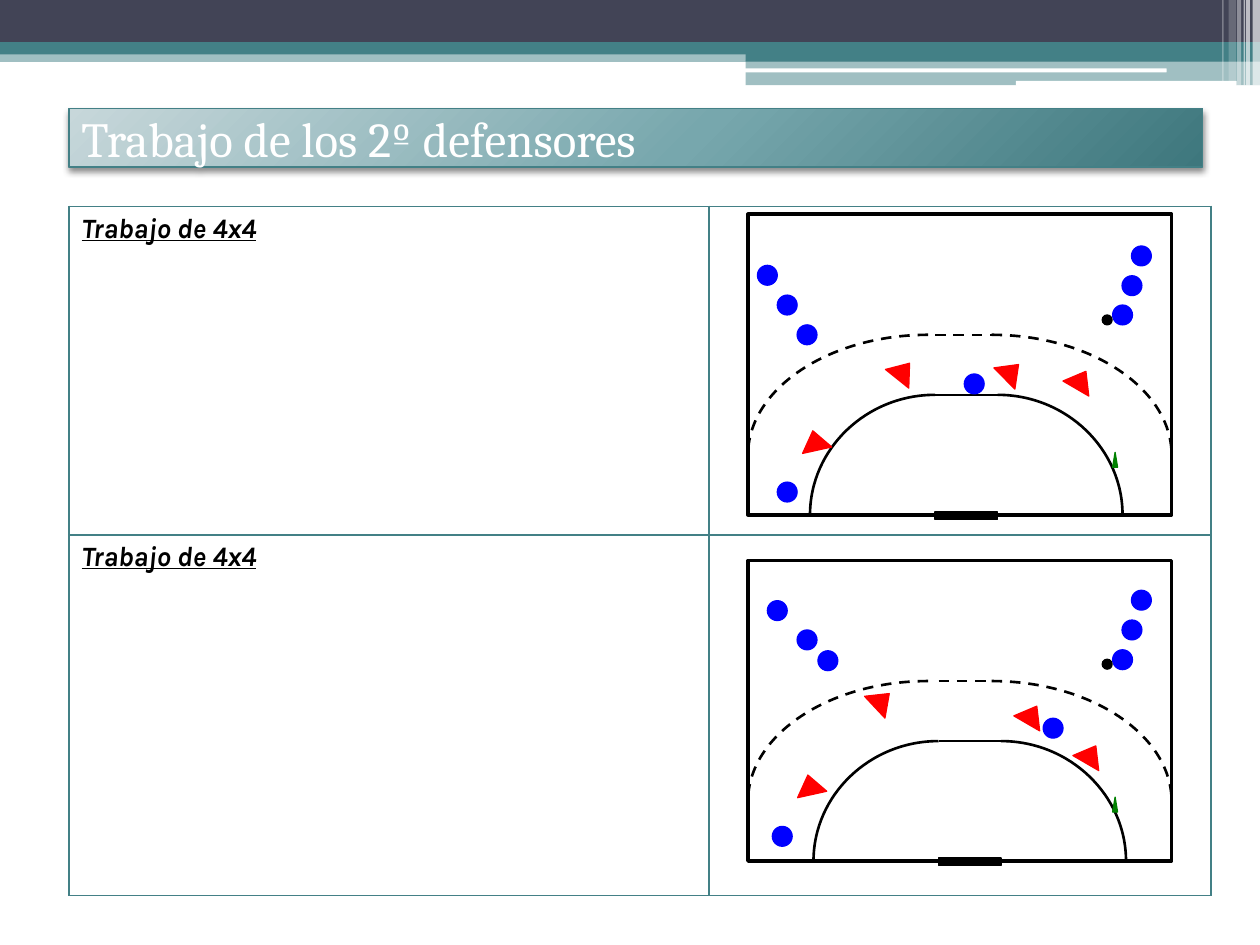
from pptx import Presentation
from pptx.dml.color import RGBColor
from pptx.enum.dml import MSO_LINE
from pptx.enum.shapes import MSO_CONNECTOR, MSO_SHAPE
from pptx.enum.text import MSO_ANCHOR, PP_ALIGN
from pptx.oxml import parse_xml
from pptx.oxml.ns import qn
from pptx.util import Cm, Pt

NS = 'xmlns:a="http://schemas.openxmlformats.org/drawingml/2006/main"'
PLAIN_TABLE = "{2D5ABB26-0587-4C30-8999-92F81FD0307C}"
COLORS = {
    "navy": "424456", "teal": "438086", "white": "FFFFFF", "black": "000000",
    "attack": "0000FF", "defence": "FF0000", "cone": "008000",
    "pale": "C7D7DA", "mid": "77A7AD", "deep": "3E777D",
}
TITLE_FONT = {"name": "Cambria", "size": Pt(28)}
CELL_FONT = {"name": "Karla", "size": Pt(16), "bold": True, "italic": True, "underline": True}

BANDS = [
    (MSO_SHAPE.RECTANGLE, (0, 1.02, 25.4, 0.23), "teal", 50),
    (MSO_SHAPE.RECTANGLE, (0, 0, 25.4, 0.86), "navy", 100),
    (MSO_SHAPE.RECTANGLE, (0, 0.85, 25.4, 0.25), "teal", 100),
    (MSO_SHAPE.RECTANGLE, (15.03, 0.99, 10.37, 0.25), "teal", 100),
    (MSO_SHAPE.RECTANGLE, (15.03, 1.22, 10.37, 0.5), "teal", 50),
    (MSO_SHAPE.ROUNDED_RECTANGLE, (15.01, 1.38, 8.51, 0.08), "white", 100),
    (MSO_SHAPE.ROUNDED_RECTANGLE, (20.48, 1.63, 4.45, 0.1), "white", 100),
]
STRIPES = [
    (25.25, 0.15, 1.73, 65), (25.12, 0.08, 1.73, 65), (25.07, 0.03, 1.73, 60),
    (24.94, 0.08, 1.73, 40), (24.77, 0.15, 1.63, 20), (24.64, 0.03, 1.63, 30),
]
COURTS = [
    {
        "top": 4.32, "goal": 18.85,
        "attackers": [(22.43, 6.15), (22.62, 5.56), (22.81, 4.96), (19.44, 7.54),
                      (15.67, 5.95), (16.07, 6.55), (15.27, 5.35), (15.67, 9.72)],
        "defenders": [(20.09, 7.29, 45.4), (21.49, 7.46, 30.2),
                      (17.91, 7.28, 38.7), (16.13, 8.68, -12.5)],
        "cone": (22.43, 9.12), "ball": (22.22, 6.35),
    },
    {
        "top": 11.3, "goal": 18.92,
        "attackers": [(22.43, 13.1), (22.62, 12.5), (22.81, 11.9), (21.03, 14.48),
                      (16.07, 12.7), (16.49, 13.12), (15.47, 12.11), (15.57, 16.66)],
        "defenders": [(20.5, 14.21, 30.2), (21.69, 15.01, 30.2),
                      (17.48, 13.92, 46.9), (16.03, 15.62, -12.5)],
        "cone": (22.43, 16.07), "ball": (22.22, 13.29),
    },
]


def rgb(color):
    return RGBColor.from_string(COLORS[color])


def add_text(tf, text, font, color):
    p = tf.paragraphs[0]
    p.alignment = PP_ALIGN.LEFT
    r = p.add_run()
    r.text = text
    for key, value in font.items():
        setattr(r.font, key, value)
    r.font.color.rgb = rgb(color)


def set_line(sp, width, dashed=False):
    sp.line.color.rgb = rgb("black")
    sp.line.width = Pt(width)
    if dashed:
        sp.line.dash_style = MSO_LINE.DASH


def add_box(s, kind, box, fill, line=None, width=0.75, alpha=100, rotation=0):
    sp = s.shapes.add_shape(kind, *[Cm(v) for v in box])
    sp.shadow.inherit = False
    sp.rotation = rotation
    sp.fill.solid()
    sp.fill.fore_color.rgb = rgb(fill)
    if alpha < 100:
        clr = sp._element.spPr.find(qn("a:solidFill"))[0]
        clr.append(parse_xml(f'<a:alpha {NS} val="{alpha * 1000}"/>'))
    if line:
        sp.line.color.rgb = rgb(line)
        sp.line.width = Pt(width)
    else:
        sp.line.fill.background()
    return sp


def add_rule(s, x1, x2, y, dashed=False):
    c = s.shapes.add_connector(MSO_CONNECTOR.STRAIGHT, Cm(x1), Cm(y), Cm(x2), Cm(y))
    set_line(c, 1.5, dashed)
    c._element.spPr.append(parse_xml(f"<a:effectLst {NS}/>"))


def add_arc(s, x, top, rx, ry, dashed=False):
    fb = s.shapes.build_freeform(Cm(x), Cm(top))
    fb.add_line_segments([(Cm(x + rx), Cm(top + ry))], close=False)
    sp = fb.convert_to_shape()
    sp.shadow.inherit = False
    sp.fill.background()
    set_line(sp, 1.5, dashed)
    w, h = sp.width, sp.height
    start, end = (0, w) if rx > 0 else (w, 0)
    bend = round(start + 0.55 * (end - start))
    points = [(bend, 0), (end, round(0.45 * h)), (end, h)]
    pts = "".join(f'<a:pt x="{px}" y="{py}"/>' for px, py in points)
    segment = next(sp._element.iter(qn("a:lnTo")))
    segment.getparent().replace(
        segment, parse_xml(f"<a:cubicBezTo {NS}>{pts}</a:cubicBezTo>"))


def add_header(s):
    for kind, box, color, alpha in BANDS:
        add_box(s, kind, box, color, alpha=alpha)
    for x, w, h, alpha in STRIPES:
        add_box(s, MSO_SHAPE.RECTANGLE, (x, 0, w, h), "white", alpha=alpha)


def add_title(s, text):
    sp = add_box(s, MSO_SHAPE.RECTANGLE, (1.39, 2.19, 22.86, 1.18), "teal", "teal")
    stops = "".join(
        f'<a:gs pos="{pos * 1000}"><a:srgbClr val="{COLORS[c]}"/></a:gs>'
        for pos, c in [(0, "pale"), (55, "mid"), (100, "deep")])
    spPr = sp._element.spPr
    spPr.replace(spPr.find(qn("a:solidFill")), parse_xml(
        f'<a:gradFill {NS} rotWithShape="1"><a:gsLst>{stops}</a:gsLst><a:path path="circle">'
        '<a:fillToRect l="-40000" t="-90000" r="140000" b="190000"/></a:path></a:gradFill>'))
    spPr.find(qn("a:effectLst")).append(parse_xml(
        f'<a:outerShdw {NS} blurRad="50800" dist="25400" dir="5400000" rotWithShape="0">'
        f'<a:srgbClr val="{COLORS["black"]}"><a:alpha val="45000"/></a:srgbClr></a:outerShdw>'))
    tf = sp.text_frame
    tf.word_wrap = True
    tf.vertical_anchor = MSO_ANCHOR.MIDDLE
    add_text(tf, text, TITLE_FONT, "white")


def set_borders(cell):
    tcPr = cell._tc.get_or_add_tcPr()
    for i, side in enumerate(("lnL", "lnR", "lnT", "lnB")):
        tcPr.insert(i, parse_xml(
            f'<a:{side} {NS} w="12700"><a:solidFill><a:srgbClr val="{COLORS["teal"]}"/>'
            f'</a:solidFill></a:{side}>'))


def add_exercises(s, labels):
    widths, heights = (12.9, 10.12), (6.62, 7.27)
    table = s.shapes.add_table(2, 2, Cm(1.39), Cm(4.16), Cm(sum(widths)), Cm(sum(heights))).table
    table.first_row = table.horz_banding = False
    next(table._tbl.iter(qn("a:tableStyleId"))).text = PLAIN_TABLE
    for col, w in zip(table.columns, widths):
        col.width = Cm(w)
    for row, h, label in zip(table.rows, heights, labels):
        row.height = Cm(h)
        for cell in row.cells:
            cell.fill.background()
            set_borders(cell)
        add_text(row.cells[0].text_frame, label, CELL_FONT, "black")


def add_court(s, top, goal, attackers, defenders, cone, ball):
    left, width, height = 15.08, 8.54, 6.06
    goal_end = goal + 1.26
    area_top, dash_top = top + 3.64, top + 2.43
    add_box(s, MSO_SHAPE.RECTANGLE, (left, top, width, height), "white", "black", 2)
    add_rule(s, goal, goal_end, area_top)
    add_box(s, MSO_SHAPE.RECTANGLE, (goal, top + 6, 1.26, 0.15), "black", "black")
    for x, rx in ((goal, -2.52), (goal_end, 2.52)):
        add_arc(s, x, area_top, rx, 2.42)
    for x, rx in ((left + 3.63, -3.63), (left + width - 3.63, 3.63)):
        add_arc(s, x, dash_top, rx, 2.42, True)
    add_rule(s, goal, goal_end, dash_top, True)
    for x, y in attackers:
        add_box(s, MSO_SHAPE.OVAL, (x, y, 0.4, 0.4), "attack", "attack")
    for x, y, angle in defenders:
        add_box(s, MSO_SHAPE.ISOSCELES_TRIANGLE, (x, y, 0.6, 0.4), "defence", "defence",
                rotation=angle)
    add_box(s, MSO_SHAPE.ISOSCELES_TRIANGLE, (*cone, 0.1, 0.3), "cone", "cone")
    add_box(s, MSO_SHAPE.OVAL, (*ball, 0.2, 0.2), "black", "black")


def main():
    prs = Presentation()
    prs.slide_width, prs.slide_height = Cm(25.4), Cm(19.05)
    s = prs.slides.add_slide(prs.slide_layouts[6])
    add_header(s)
    add_title(s, "Trabajo de los 2º defensores")
    add_exercises(s, ["Trabajo de 4x4", "Trabajo de 4x4"])
    for court in COURTS:
        add_court(s, **court)
    prs.save("out.pptx")


main()
